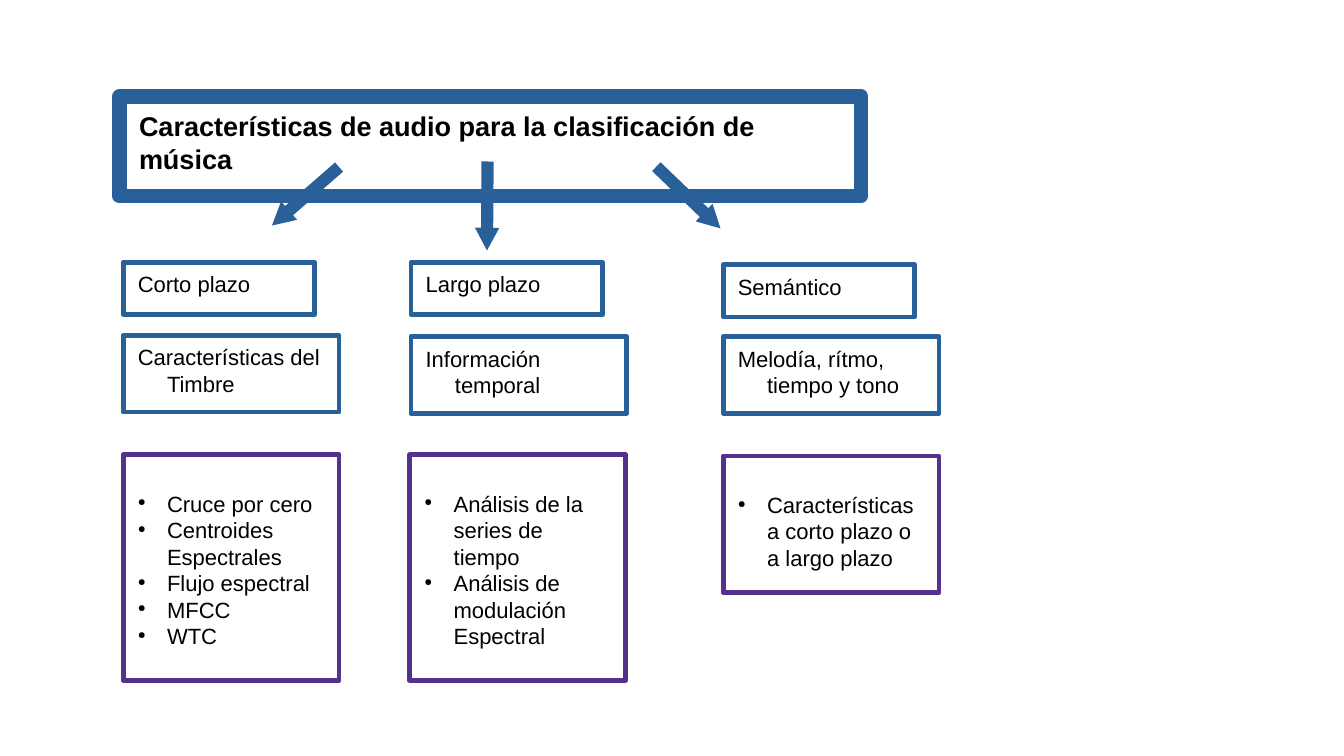
from lxml.etree import SubElement
from pptx import Presentation
from pptx.dml.color import RGBColor
from pptx.enum.shapes import MSO_SHAPE
from pptx.enum.text import MSO_ANCHOR, PP_ALIGN
from pptx.oxml.ns import qn
from pptx.util import Inches, Pt

BLUE, PURPLE, BLACK = "2A6099", "55308D", "000000"

presentation = Presentation()
presentation.slide_width = Inches(11.02)
presentation.slide_height = Inches(6.2)
slide = presentation.slides.add_slide(presentation.slide_layouts[6])


def color(value):
    return RGBColor.from_string(value)


def add_box(lines, left, top, width, height, outline=BLUE, weight=2.83, size=13,
            bold=False, side=0.12, inset=0.07, hanging=0.24, bullets=False):
    """Add an outlined rectangle with one paragraph for each line."""
    shape = slide.shapes.add_shape(MSO_SHAPE.RECTANGLE, Inches(left), Inches(top),
                                   Inches(width), Inches(height))
    shape.shadow.inherit = False
    shape.fill.background()
    shape.line.color.rgb = color(outline)
    shape.line.width = Pt(weight)
    frame = shape.text_frame
    frame.word_wrap = True
    frame.vertical_anchor = MSO_ANCHOR.TOP
    frame.margin_left = frame.margin_right = Inches(side)
    frame.margin_top = Inches(inset)
    frame.margin_bottom = Inches(0.07)
    for index, line in enumerate(lines):
        paragraph = frame.paragraphs[0] if index == 0 else frame.add_paragraph()
        paragraph.alignment = PP_ALIGN.LEFT
        run = paragraph.add_run()
        run.text = line
        run.font.name = "Arial"
        run.font.size = Pt(size)
        run.font.bold = bold
        run.font.color.rgb = color(BLACK)
        properties = paragraph._p.get_or_add_pPr()
        properties.set("marL", str(Inches(hanging)))
        properties.set("indent", str(-Inches(hanging)))
        if bullets:
            bullet_color = SubElement(properties, qn("a:buClr"))
            SubElement(bullet_color, qn("a:srgbClr"), val=BLACK)
            SubElement(properties, qn("a:buSzPct"), val="45000")
            SubElement(properties, qn("a:buChar"), char="●")


add_box(["Características de audio para la clasificación de música"],
        0.98, 0.79, 6.08, 0.82, weight=8.5, size=16, bold=True,
        side=0.16, inset=0.11, hanging=0)

# Left edge, term and its top, description and its top, features with their left, top and height
columns = [
    (1.01, "Corto plazo", 2.15, "Características del Timbre", 2.75,
     ["Cruce por cero", "Centroides Espectrales", "Flujo espectral", "MFCC", "WTC"],
     1.01, 3.73, 1.85),
    (3.37, "Largo plazo", 2.15, "Información temporal", 2.76,
     ["Análisis de la series de tiempo", "Análisis de modulación Espectral"],
     3.36, 3.73, 1.85),
    (5.93, "Semántico", 2.17, "Melodía, rítmo, tiempo y tono", 2.76,
     ["Características a corto plazo o a largo plazo"],
     5.93, 3.74, 1.12),
]
for (left, term, term_top, description, description_top,
     features, features_left, features_top, features_height) in columns:
    add_box([term], left, term_top, 1.57, 0.43)
    add_box([description], left, description_top, 1.77, 0.63)
    add_box(features, features_left, features_top, 1.77, features_height,
            outline=PURPLE, inset=0.29, bullets=True)

for left, top, rotation in [(2.14, 1.51, 138.9), (3.63, 1.59, 90.4), (5.28, 1.52, 43.9)]:
    arrow = slide.shapes.add_shape(MSO_SHAPE.RIGHT_ARROW, Inches(left), Inches(top),
                                   Inches(0.73), Inches(0.2))
    arrow.shadow.inherit = False
    arrow.adjustments[0] = 0.5
    arrow.adjustments[1] = 0.93
    arrow.rotation = rotation
    arrow.fill.solid()
    arrow.fill.fore_color.rgb = color(BLUE)
    arrow.line.fill.background()

presentation.save("out.pptx")
